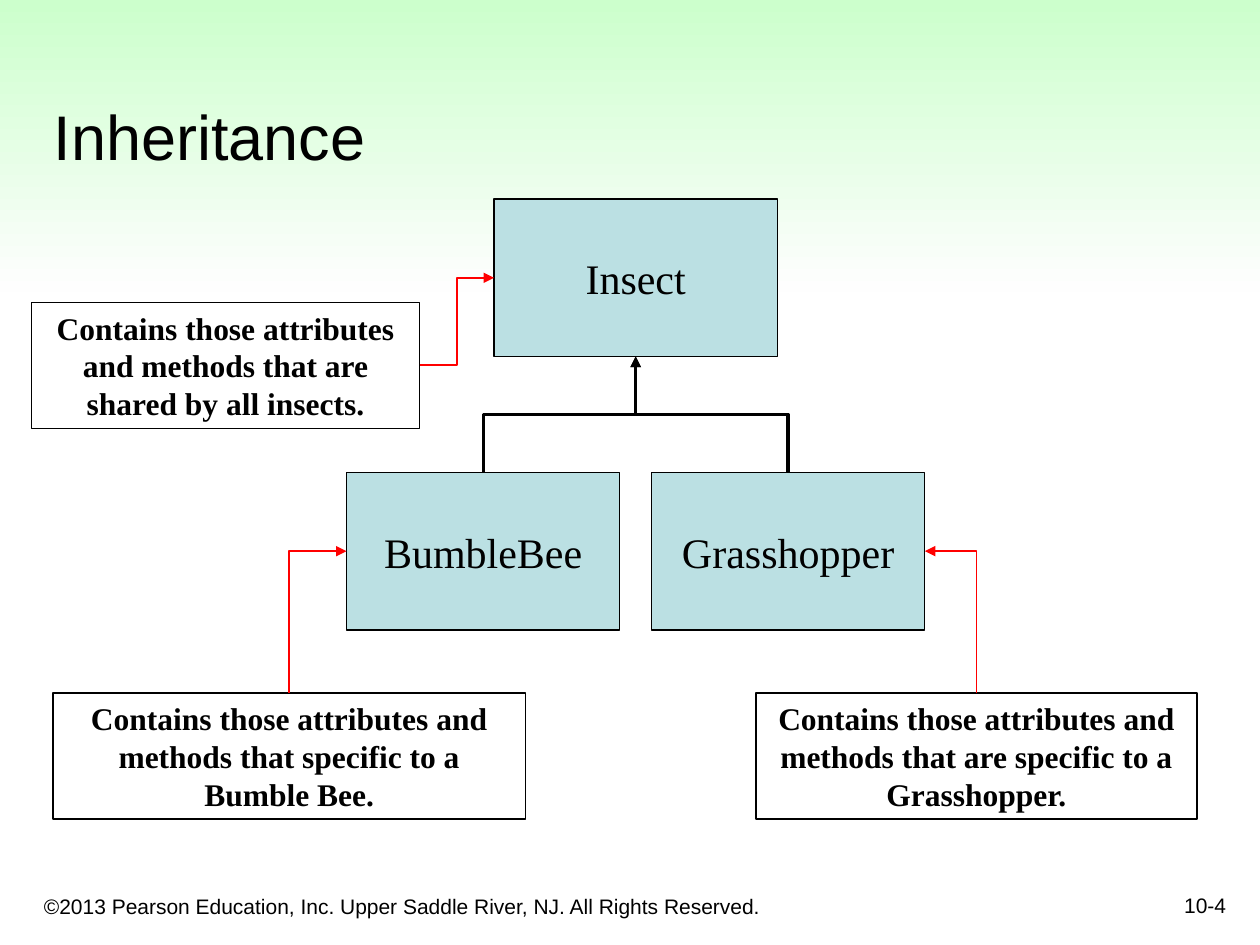
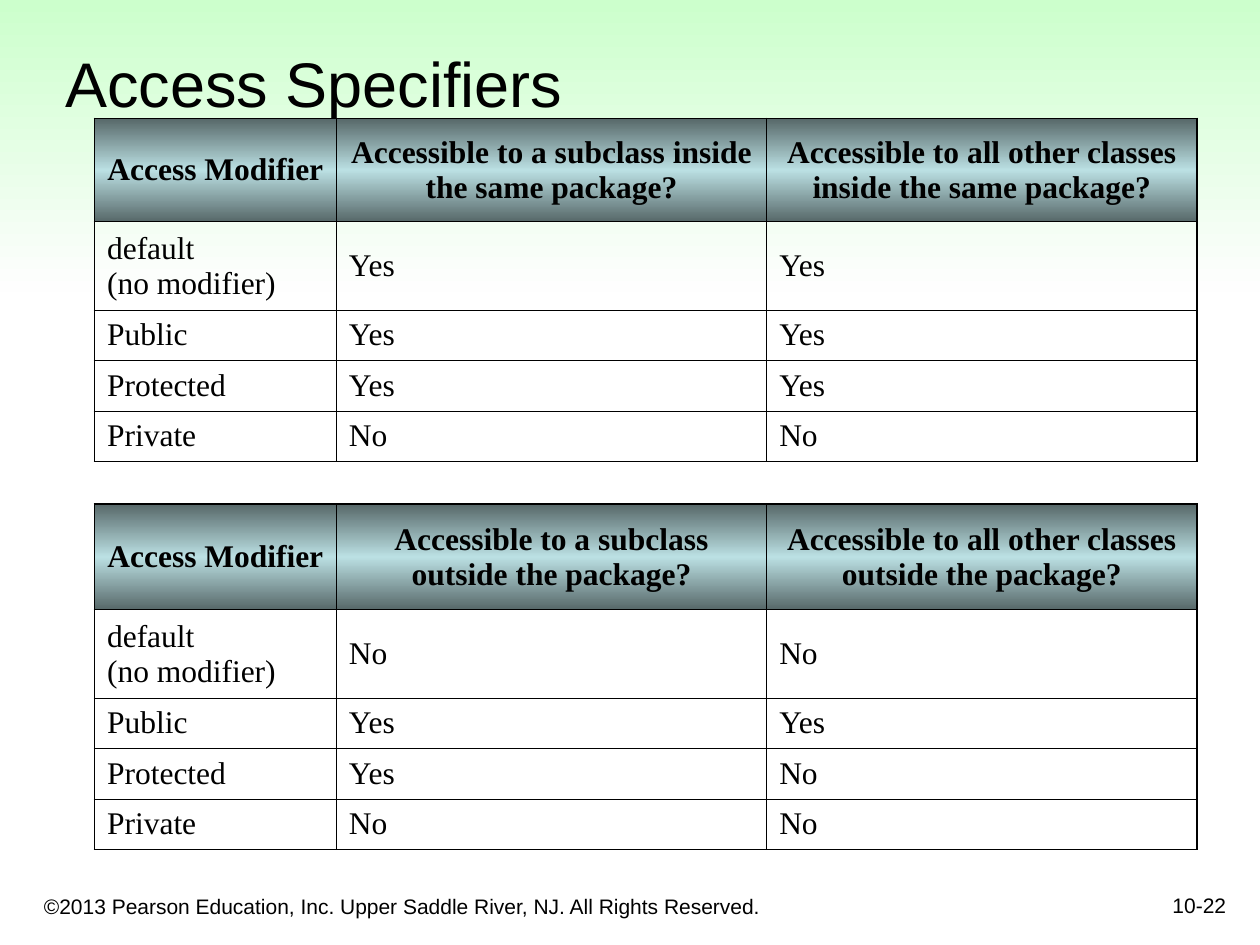
from lxml import etree
from pptx import Presentation
from pptx.dml.color import RGBColor
from pptx.enum import shapes as sh, text as tx
from pptx.oxml.ns import qn
from pptx.util import Inches, Pt

BLACK, RED, TEAL, DARK = "000000", "FF0000", "BBE0E3", "576869"
SANS, SERIF = "Arial", "Times New Roman"
LEFT, MID, RIGHT = tx.PP_ALIGN.LEFT, tx.PP_ALIGN.CENTER, tx.PP_ALIGN.RIGHT
LOW, CENTER = tx.MSO_ANCHOR.BOTTOM, tx.MSO_ANCHOR.MIDDLE
TOP_SITE, LEFT_SITE, LOW_SITE, RIGHT_SITE = range(4)
NOTICE = ("©2013 Pearson Education, Inc. Upper Saddle River, NJ. "
          "All Rights Reserved.")


def color(code):
    return RGBColor.from_string(code)


def put(frame, text, size=18, font=SERIF, bold=False, align=LEFT,
        anchor=CENTER, wrap=True):
    """Write one formatted paragraph into a text frame."""
    frame.word_wrap = wrap
    frame.vertical_anchor = anchor
    para = frame.paragraphs[0]
    para.text = text
    para.alignment = align
    for run in para.runs:
        run.font.size, run.font.name, run.font.bold = Pt(size), font, bold
        run.font.color.rgb = color(BLACK)


def label(slide, box, text, **form):
    area = slide.shapes.add_textbox(*map(Inches, box))
    put(area.text_frame, text, font=SANS, anchor=LOW, **form)


def block(slide, box, fill=None, line=BLACK):
    """Add a plain rectangle."""
    rect = slide.shapes.add_shape(sh.MSO_SHAPE.RECTANGLE, *map(Inches, box))
    rect.shadow.inherit = False
    if fill:
        rect.fill.solid()
        rect.fill.fore_color.rgb = color(fill)
    else:
        rect.fill.background()
    if line:
        rect.line.color.rgb = color(line)
        rect.line.width = Pt(0.75)
    else:
        rect.line.fill.background()
    return rect


def grade(fill, props, codes):
    """Fill from top to bottom with evenly spaced colours."""
    fill.gradient()
    fill.gradient_angle = 270
    stops = props.find(".//" + qn("a:gsLst"))
    for old in list(stops):
        stops.remove(old)
    for i, code in enumerate(codes):
        stop = etree.SubElement(stops, qn("a:gs"),
                                pos=str(100000 * i // (len(codes) - 1)))
        etree.SubElement(stop, qn("a:srgbClr"), val=code)


def base(deck, title, box, number):
    """Start a slide with its band, footer, page number and title."""
    slide = deck.slides.add_slide(deck.slide_layouts[6])
    band = block(slide, (0, 0, 10, 2.32), line=None)
    grade(band.fill, band._element.spPr, ("CCFFCC", "FEFEFE"))
    label(slide, (0.25, 6.92, 6.08, 0.42), NOTICE, size=12)
    label(slide, (7.75, 6.83, 2.08, 0.5), number, size=12, align=RIGHT)
    label(slide, box, title, size=36)
    return slide


# Class diagram

def node(slide, name, box):
    rect = block(slide, box, TEAL)
    put(rect.text_frame, name, size=24, align=MID, wrap=False)
    return rect


def note(slide, text, box):
    rect = block(slide, box)
    put(rect.text_frame, text, bold=True, align=MID)
    return rect


def stand(link):
    """Turn an upward elbow so that it leaves its start vertically."""
    x1, y1, x2, y2 = link.begin_x, link.begin_y, link.end_x, link.end_y
    wide, high = abs(y2 - y1), abs(x2 - x1)
    link.left, link.top = (x1 + x2 - wide) // 2, (y1 + y2 - high) // 2
    link.width, link.height = wide, high
    link.rotation = 0
    frame = link._element.spPr.find(qn("a:xfrm"))
    ahead = x2 > x1
    frame.set("rot", str((90 if ahead else 270) * 60000))
    frame.set("flipH", "1" if ahead else "0")
    frame.set("flipV", "1")


def join(slide, start, end, hue=RED, width=1, bends=3):
    """Draw an elbow arrow between two (shape, site) ends."""
    link = slide.shapes.add_connector(sh.MSO_CONNECTOR.ELBOW, 0, 0, 0, 0)
    link.begin_connect(*start)
    link.end_connect(*end)
    if start[1] == TOP_SITE:
        stand(link)
    link.line.color.rgb = color(hue)
    link.line.width = Pt(width)
    props = link._element.spPr
    props.find(qn("a:prstGeom")).set("prst", f"bentConnector{bends}")
    etree.SubElement(props.find(qn("a:ln")), qn("a:tailEnd"), type="triangle")
    etree.SubElement(props, qn("a:effectLst"))


def tree(slide, x, y):
    """Place the classes and their notes from the top left corner."""
    bug = node(slide, "Insect", (x + 3.67, y, 2.25, 1.25))
    bee, hopper = [node(slide, name, (x + 2.5 + 2.42 * i, y + 2.17, 2.17, 1.25))
                   for i, name in enumerate(("BumbleBee", "Grasshopper"))]
    for kid in (bee, hopper):
        join(slide, (kid, TOP_SITE), (bug, LOW_SITE), BLACK, 2)

    shared = note(slide, "Contains those attributes and methods that are "
                  "shared by all insects.", (x, y + 0.82, 3.08, 1))
    join(slide, (shared, RIGHT_SITE), (bug, LEFT_SITE))
    low = y + 3.92
    own = note(slide, "Contains those attributes and methods that specific "
               "to a Bumble Bee.", (x + 0.17, low, 3.75, 1))
    join(slide, (own, TOP_SITE), (bee, LEFT_SITE), bends=2)
    own = note(slide, "Contains those attributes and methods that are "
               "specific to a Grasshopper.", (x + 5.75, low, 3.5, 1))
    join(slide, (own, TOP_SITE), (hopper, RIGHT_SITE), bends=2)


# Access tables

def edge(cell, widths):
    """Set the left, right, top and bottom borders, in points."""
    props = cell._tc.get_or_add_tcPr()
    for i, (side, width) in enumerate(zip("LRTB", widths)):
        line = etree.Element(qn("a:ln" + side), w=str(Pt(width)))
        fill = etree.SubElement(line, qn("a:solidFill"))
        etree.SubElement(fill, qn("a:srgbClr"), val=BLACK)
        props.insert(i, line)


def grid(slide, box, head, rows):
    """Add a table whose first row is box-height less the body rows."""
    x, y, wide, high = box
    tall = (0.7, 0.4, 0.4, 0.4)
    sizes = (high - sum(tall), *tall)
    first = 1.92
    cols = (first, (wide - first) / 2, (wide - first) / 2)
    table = slide.shapes.add_table(len(sizes), len(cols),
                                   *map(Inches, box)).table
    table.first_row = table.horz_banding = False
    for row, size in zip(table.rows, sizes):
        row.height = Inches(size)
    for col, size in zip(table.columns, cols):
        col.width = Inches(size)

    for r, words in enumerate([head, *rows]):
        for c, word in enumerate(words):
            cell = table.cell(r, c)
            put(cell.text_frame, word, bold=r == 0, align=LEFT if r else MID)
            cell.vertical_anchor = CENTER
            if r:
                cell.fill.background()
            else:
                grade(cell.fill, cell._tc.get_or_add_tcPr(),
                      (DARK, TEAL, DARK))
            outer = (c == 0, c == len(cols) - 1, r == 0, r == len(rows))
            edge(cell, [1.08 if out else 0.45 for out in outer])


def access(slide, x, y):
    """Place the inside and outside tables from the top left corner."""
    names = ("default\n(no modifier)", "Public", "Protected", "Private")
    parts = [
        (0, 2.72, "inside the same package?",
         ("Yes", "Yes", "Yes", "No"), ("Yes", "Yes", "Yes", "No")),
        (3.06, 2.74, "outside the package?",
         ("No", "Yes", "Yes", "No"), ("No", "Yes", "No", "No")),
    ]
    for down, high, place, sub, other in parts:
        head = ("Access Modifier", f"Accessible to a subclass {place}",
                f"Accessible to all other classes {place}")
        grid(slide, (x, y + down, 8.75, high), head,
             list(zip(names, sub, other)))


def main():
    deck = Presentation()
    deck.slide_width, deck.slide_height = Inches(10), Inches(7.5)
    tree(base(deck, "Inheritance", (0.33, 0.33, 9.42, 1.09), "10-4"),
         0.25, 1.58)
    access(base(deck, "Access Specifiers", (0.42, 0.25, 8.5, 0.75), "10-22"),
           0.75, 0.94)
    deck.save("out.pptx")


if __name__ == "__main__":
    main()
